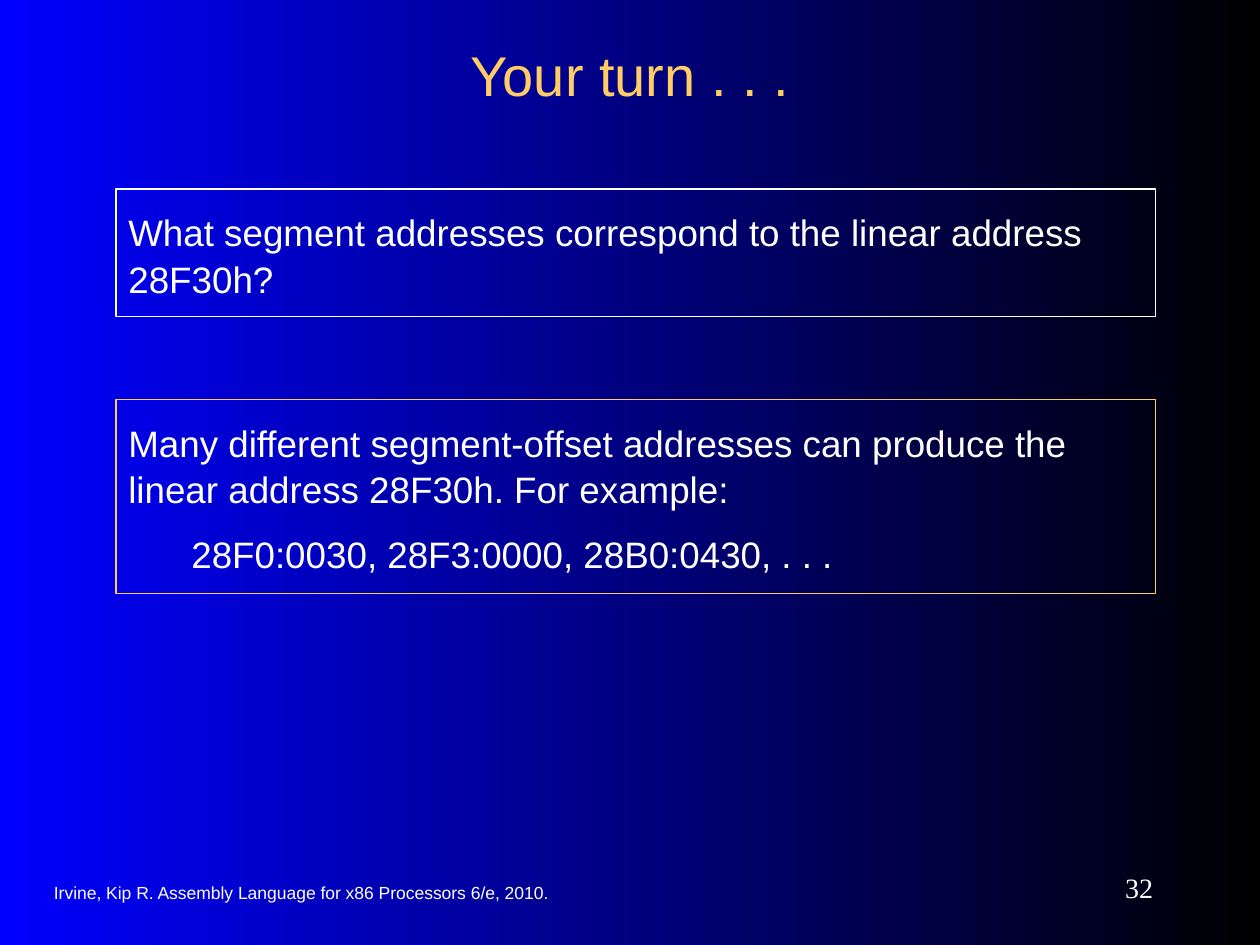
from dataclasses import dataclass

from pptx import Presentation
from pptx.dml.color import RGBColor
from pptx.enum import shapes, text
from pptx.util import Inches, Pt

HUES = {"white": "FFFFFF", "gold": "FFCC66", "blue": "0000FF", "black": "000000"}
LEFT, MID, RIGHT = text.PP_ALIGN.LEFT, text.PP_ALIGN.CENTER, text.PP_ALIGN.RIGHT


@dataclass
class Panel:
    top: float
    high: float
    edge: str
    lines: list[str]


@dataclass
class Note:
    box: tuple[float, float, float, float]
    words: str
    size: int
    face: str
    align: text.PP_ALIGN


PANELS = [
    Panel(1.5, 1.01, "white",
          ["What segment addresses correspond to the linear address 28F30h?"]),
    Panel(3.17, 1.54, "gold",
          ["Many different segment-offset addresses can produce the "
           "linear address 28F30h. For example:",
           "\t28F0:0030, 28F3:0000, 28B0:0430, . . ."]),
]
NOTES = [
    Note((0.33, 6.92, 5.17, 0.33),
         "Irvine, Kip R. Assembly Language for x86 Processors 6/e, 2010.",
         10, "Arial", LEFT),
    Note((8.17, 6.83, 1.08, 0.42), "32", 16, "Times New Roman", RIGHT),
]


def color(name: str) -> RGBColor:
    return RGBColor.from_string(HUES[name])


def style(para, size: int, face: str, hue: str, align: text.PP_ALIGN) -> None:
    para.alignment = align
    para.font.size = Pt(size)
    para.font.name = face
    para.font.color.rgb = color(hue)


def paint(slide) -> None:
    fill = slide.background.fill
    fill.gradient()
    fill.gradient_angle = 0
    for stop, place, hue in zip(fill.gradient_stops, (0, 1), ("blue", "black")):
        stop.position = place
        stop.color.rgb = color(hue)


def add_title(slide, words: str) -> None:
    title = slide.shapes.title
    title.left, title.top = Inches(0.75), Inches(0.25)
    title.width, title.height = Inches(8.5), Inches(0.67)
    frame = title.text_frame
    frame.text = words
    frame.auto_size = text.MSO_AUTO_SIZE.NONE
    frame.vertical_anchor = text.MSO_ANCHOR.MIDDLE
    style(frame.paragraphs[0], 32, "Arial", "gold", MID)


def add_note(slide, note: Note) -> None:
    frame = slide.shapes.add_textbox(*map(Inches, note.box)).text_frame
    frame.word_wrap = True
    frame.vertical_anchor = text.MSO_ANCHOR.MIDDLE
    frame.text = note.words
    style(frame.paragraphs[0], note.size, note.face, "white", note.align)


def add_panel(slide, panel: Panel) -> None:
    rect = slide.shapes.add_shape(
        shapes.MSO_SHAPE.RECTANGLE, Inches(0.92), Inches(panel.top),
        Inches(8.25), Inches(panel.high))
    rect.shadow.inherit = False
    rect.fill.background()
    rect.line.color.rgb = color(panel.edge)
    rect.line.width = Pt(0.75)
    frame = rect.text_frame
    frame.word_wrap = True
    frame.auto_size = text.MSO_AUTO_SIZE.SHAPE_TO_FIT_TEXT
    frame.vertical_anchor = text.MSO_ANCHOR.TOP
    frame.margin_top = frame.margin_bottom = Inches(0.15)
    frame.text = "\n".join(panel.lines)
    for para in frame.paragraphs:
        style(para, 21, "Arial", "white", LEFT)
        para.space_before = Pt(10.5)
        para.line_spacing = 1.05


def main() -> None:
    deck = Presentation()
    deck.slide_width, deck.slide_height = Inches(10), Inches(7.5)
    slide = deck.slides.add_slide(deck.slide_layouts[5])
    paint(slide)
    for note in NOTES:
        add_note(slide, note)
    add_title(slide, "Your turn . . .")
    for panel in PANELS:
        add_panel(slide, panel)
    deck.save("out.pptx")


if __name__ == "__main__":
    main()
